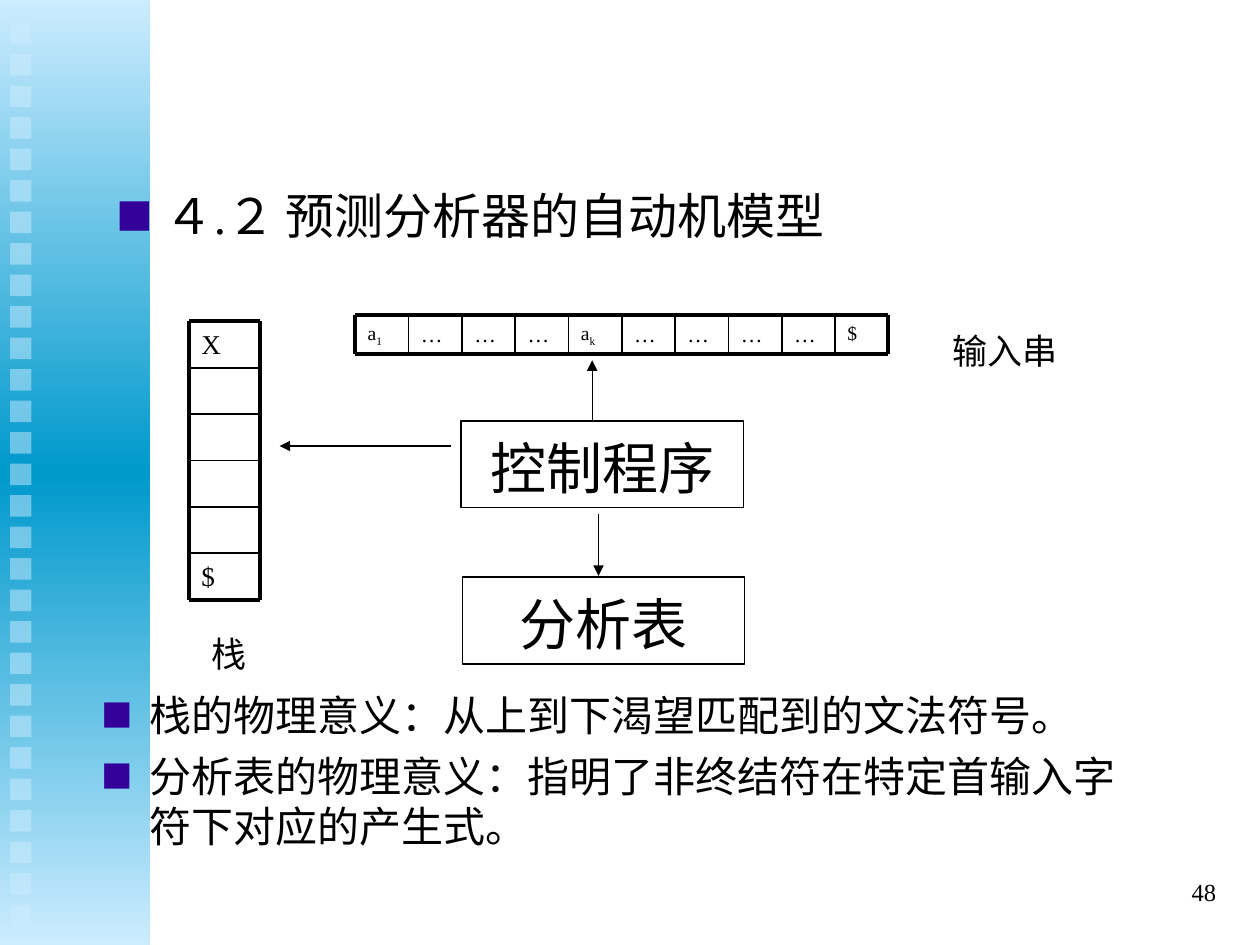
from lxml.etree import SubElement
from copy import deepcopy
from pptx import Presentation
from pptx.dml.color import RGBColor
from pptx.enum.shapes import MSO_CONNECTOR as Connector, MSO_SHAPE as Shape
from pptx.enum.text import MSO_ANCHOR as Anchor, PP_ALIGN as Align
from pptx.oxml.ns import qn
from pptx.util import Inches, Pt

BLACK = RGBColor(0x00, 0x00, 0x00)
PALE = RGBColor(0xCC, 0xEC, 0xFF)
DEEP = RGBColor(0x00, 0x99, 0xCC)
VIOLET = RGBColor(0x33, 0x00, 0x99)
SERIF = "Times New Roman"
CJK = "Noto Sans CJK SC"

TAPE = ["a1", "…", "…", "…", "ak", "…", "…", "…", "…", "$"]
STACK = ["X", "", "", "", "", "$"]
MEANINGS = [
    "栈的物理意义：从上到下渴望匹配到的文法符号。",
    "分析表的物理意义：指明了非终结符在特定首输入字符下对应的产生式。",
]


def style_run(run, size, latin=SERIF, asian=CJK):
    run.font.size = Pt(size)
    run.font.name = latin
    run.font.color.rgb = BLACK
    SubElement(run.font._element, qn("a:ea"), typeface=asian)


def add_text(slide, box, lines, size, before=0, align=Align.LEFT, spacing=1.0,
             latin=SERIF, asian=CJK):
    frame = slide.shapes.add_textbox(*map(Inches, box)).text_frame
    fill_frame(frame, lines, size, before, align, spacing, latin, asian)
    return frame


def fill_frame(frame, lines, size, before, align, spacing, latin, asian):
    frame.word_wrap = True
    frame.text = "\n".join(lines)
    for paragraph in frame.paragraphs:
        paragraph.alignment = align
        paragraph.line_spacing = spacing
        paragraph.space_before = Pt(before)
        for run in paragraph.runs:
            style_run(run, size, latin, asian)


def add_bullets(slide, box, lines, size, before):
    for paragraph in add_text(slide, box, lines, size, before).paragraphs:
        props = paragraph._p.get_or_add_pPr()
        props.set("marL", str(Inches(0.38)))
        props.set("indent", str(-Inches(0.38)))
        colour = SubElement(props, qn("a:buClr"))
        SubElement(colour, qn("a:srgbClr"), val=str(VIOLET))
        SubElement(props, qn("a:buSzPct"), val="75000")
        SubElement(props, qn("a:buFont"), typeface=CJK)
        SubElement(props, qn("a:buChar"), char="■")


def add_line(slide, x1, y1, x2, y2, weight, arrow=False):
    line = slide.shapes.add_connector(
        Connector.STRAIGHT, *map(Inches, (x1, y1, x2, y2)))
    line.line.color.rgb = BLACK
    line.line.width = Pt(weight)
    if arrow:
        SubElement(line.line._get_or_add_ln(), qn("a:tailEnd"), type="triangle")
    SubElement(line._element.spPr, qn("a:effectLst"))


def add_plain_rect(slide, box):
    rect = slide.shapes.add_shape(Shape.RECTANGLE, *map(Inches, box))
    rect.shadow.inherit = False
    rect.line.fill.background()
    return rect


def add_sidebar(slide):
    fill = add_plain_rect(slide, (0, 0, 1.19, 7.5)).fill
    fill.gradient()
    fill.gradient_angle = 90
    first = fill.gradient_stops[0]._gs
    first.addnext(deepcopy(first))
    for stop, position, colour in zip(
            fill.gradient_stops, (0, 0.5, 1), (PALE, DEEP, PALE)):
        stop.position = position
        stop.color.rgb = colour
    for i in range(29):
        square = add_plain_rect(slide, (0.08, 0.18 + 0.25 * i, 0.17, 0.17))
        square.fill.solid()
        square.fill.fore_color.rgb = PALE
        tint = square._element.spPr.find(".//" + qn("a:srgbClr"))
        SubElement(tint, qn("a:alpha"), val="50000")


def add_module(slide, left, top, label):
    module = add_plain_rect(slide, (left, top, 2.24, 0.69))
    module.fill.background()
    module.line.color.rgb = BLACK
    module.line.width = Pt(0.75)
    module.text_frame.vertical_anchor = Anchor.TOP
    fill_frame(module.text_frame, [label], 32, 20, Align.CENTER, 1.1, CJK, CJK)


def add_cell_text(slide, box, symbol, size, before):
    frame = add_text(slide, box, [symbol[0]], size, before, asian=SERIF)
    if len(symbol) > 1:
        index = frame.paragraphs[0].add_run()
        index.text = symbol[1]
        style_run(index, size, asian=SERIF)
        index.font._element.set("baseline", "-25000")


def rule_weight(i, count):
    return 2.25 if i in (0, count) else 1


def add_tape(slide, left=2.82, top=2.5, right=7.05, bottom=2.81):
    count = len(TAPE)
    width = (right - left) / count
    for i, symbol in enumerate(TAPE):
        size = 12.4 if symbol == "…" else 11.2
        box = (left + i * width, top, width, bottom - top)
        add_cell_text(slide, box, symbol, size, 4.5 if symbol == "$" else 4)
    for y in (top, bottom):
        add_line(slide, left, y, right, y, 2.25)
    for i in range(count + 1):
        x = left + i * width
        add_line(slide, x, top, x, bottom, rule_weight(i, count))


def add_stack(slide, left=1.5, top=2.55, right=2.06, bottom=4.76):
    count = len(STACK)
    height = (bottom - top) / count
    for i, symbol in enumerate(STACK):
        if symbol:
            box = (left, top + i * height, right - left, height)
            add_cell_text(slide, box, symbol, 15.5, 5)
    for i in range(count + 1):
        y = top + i * height
        add_line(slide, left, y, right, y, rule_weight(i, count))
    for x in (left, right):
        add_line(slide, x, top, x, bottom, 2.25)


def add_caption(slide, box, label):
    add_text(slide, box, [label], 20, 12.5, Align.CENTER, 1.1, CJK)


def main():
    deck = Presentation()
    deck.slide_width, deck.slide_height = Inches(10), Inches(7.5)
    slide = deck.slides.add_slide(deck.slide_layouts[6])

    add_sidebar(slide)
    add_bullets(slide, (0.83, 1.42, 8.51, 0.71),
                ["４.２ 预测分析器的自动机模型"], 28, 7)
    add_module(slide, 3.66, 3.34, "控制程序")
    add_module(slide, 3.67, 4.58, "分析表")
    add_tape(slide)
    add_stack(slide)
    add_caption(slide, (7.34, 2.53, 1.28, 0.47), "输入串")
    add_caption(slide, (1.42, 4.94, 0.8, 0.47), "栈")
    for ends in ((3.58, 3.54, 2.22, 3.54), (4.75, 4.08, 4.75, 4.57),
                 (4.7, 3.34, 4.7, 2.86)):
        add_line(slide, *ends, 0.75, arrow=True)
    add_bullets(slide, (0.71, 5.42, 8.51, 1.5), MEANINGS, 24, 6)
    number = add_text(slide, (7.67, 6.83, 2.08, 0.5), ["48"], 14,
                      align=Align.RIGHT)
    number.vertical_anchor = Anchor.MIDDLE

    deck.save("out.pptx")


if __name__ == "__main__":
    main()
